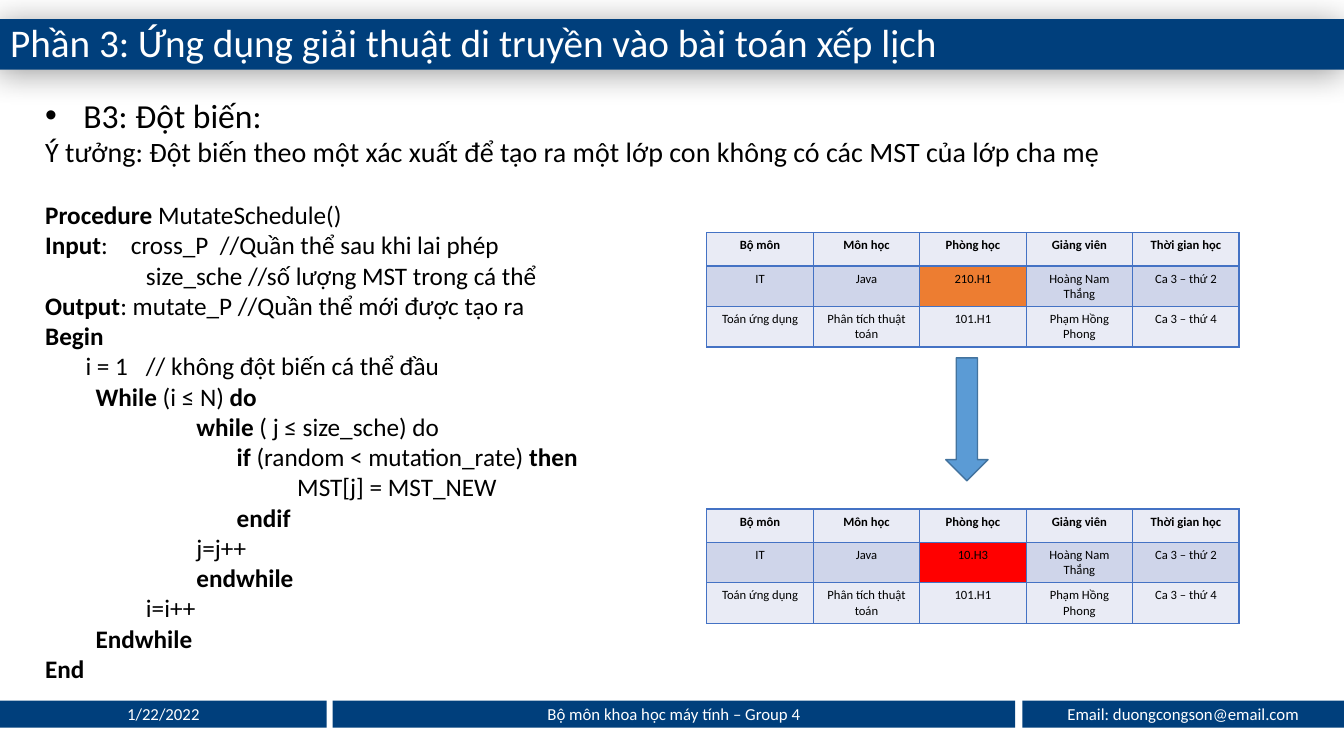
from lxml import etree
from pptx import Presentation
from pptx.dml.color import RGBColor
from pptx.enum.shapes import MSO_SHAPE
from pptx.enum.text import MSO_ANCHOR, MSO_AUTO_SIZE, PP_ALIGN
from pptx.oxml import parse_xml
from pptx.oxml.ns import qn
from pptx.util import Inches, Pt

RECT, DOWN_ARROW = MSO_SHAPE.RECTANGLE, MSO_SHAPE.DOWN_ARROW
MIDDLE, LEFT, CENTER = MSO_ANCHOR.MIDDLE, PP_ALIGN.LEFT, PP_ALIGN.CENTER
NO_FIT, GROW = MSO_AUTO_SIZE.NONE, MSO_AUTO_SIZE.SHAPE_TO_FIT_TEXT
A = "http://schemas.openxmlformats.org/drawingml/2006/main"

W, H = 13.33, 7.5
FONT = "Calibri"
NAVY, WHITE, BLACK = "003F7C", "FFFFFF", "000000"
PALE, BAND, BORDER = "E9EBF5", "CFD5EA", "4472C4"
ORANGE, RED = "ED7D31", "FF0000"
TITLE_ONLY = 5

FOOTER = [(0, 3.24, "1/22/2022"),
          (3.3, 6.77, "Bộ môn khoa học máy tính – Group 4"),
          (10.14, 3.19, "Email: duongcongson@email.com")]

# Left margin, hanging part of it, text with *bold* pieces
PSEUDOCODE = [
    (0, 0, "*Procedure* MutateSchedule()"),
    (0.85, 0.85, "*Input*:\tcross_P  //Quần thể sau khi lai phép"),
    (1, 0, "size_sche //số lượng MST trong cá thể"),
    (0, 0, "*Output*: mutate_P //Quần thể mới được tạo ra"),
    (0, 0, "*Begin*"),
    (1, 0.6, "i = 1\t// không đột biến cá thể đầu"),
    (0.5, 0, "*While* (i ≤ N) *do*"),
    (1.5, 0, "*while* ( j ≤ size_sche) do"),
    (1.9, 0, "*if* (random < mutation_rate) *then*"),
    (2.5, 0, "MST[j] = MST_NEW"),
    (1.9, 0, "*endif*"),
    (1.5, 0, "j=j++"),
    (1.5, 0, "*endwhile*"),
    (1, 0, "i=i++"),
    (0.5, 0, "*Endwhile*"),
    (0, 0, "*End*"),
]


def rgb(value):
    return RGBColor.from_string(value)


def inches(box):
    return [Inches(v) for v in box]


def style(r, size, color=BLACK, bold=False):
    r.font.name, r.font.size, r.font.bold = FONT, Pt(size), bold
    r.font.color.rgb = rgb(color)


def indent(p, left, hang):
    pPr = p._p.get_or_add_pPr()
    pPr.set("marL", str(Inches(left)))
    pPr.set("indent", str(-Inches(hang)))
    return pPr


def add_title(s, box, text):
    sp = s.shapes.title
    sp.left, sp.top, sp.width, sp.height = inches(box)
    sp.fill.solid()
    sp.fill.fore_color.rgb = rgb(NAVY)
    sp._element.spPr.append(parse_xml(
        f'<a:effectLst xmlns:a="{A}"><a:outerShdw blurRad="{Pt(24)}" dist="{Pt(3)}" '
        f'dir="8100000" rotWithShape="0"><a:srgbClr val="{BLACK}">'
        '<a:alpha val="40000"/></a:srgbClr></a:outerShdw></a:effectLst>'))
    tf = sp.text_frame
    tf.text = text
    tf.auto_size, tf.vertical_anchor = NO_FIT, MIDDLE
    p = tf.paragraphs[0]
    p.alignment, p.line_spacing = LEFT, 0.9
    style(p.runs[0], 28, WHITE)


def add_block(s, preset, box, fill, line=None):
    sp = s.shapes.add_shape(preset, *inches(box))
    sp.shadow.inherit = False
    sp.fill.solid()
    sp.fill.fore_color.rgb = rgb(fill)
    if line:
        sp.line.color.rgb = rgb(line)
        sp.line.width = Pt(1)
    else:
        sp.line.fill.background()
    return sp


def add_footer(s, top, height):
    for left, width, text in FOOTER:
        tf = add_block(s, RECT, (left, top, width, height), NAVY).text_frame
        tf.text = text
        tf.vertical_anchor = MIDDLE
        p = tf.paragraphs[0]
        p.alignment = CENTER
        style(p.runs[0], 12, WHITE)


def add_text_box(s, box):
    tf = s.shapes.add_textbox(*inches(box)).text_frame
    tf.word_wrap, tf.auto_size = True, GROW
    return tf


def add_idea(s, box):
    tf = add_text_box(s, box)
    tf.text = ("B3: Đột biến:\nÝ tưởng: Đột biến theo một xác xuất để tạo ra "
               "một lớp con không có các MST của lớp cha mẹ")
    heading, idea = tf.paragraphs
    style(heading.runs[0], 24)
    style(idea.runs[0], 20)
    pPr = indent(heading, 0.38, 0.38)
    etree.SubElement(pPr, qn("a:buFont")).set("typeface", "Arial")
    etree.SubElement(pPr, qn("a:buChar")).set("char", "•")


def add_pseudocode(s, box):
    tf = add_text_box(s, box)
    for i, (left, hang, text) in enumerate(PSEUDOCODE):
        p = tf.add_paragraph() if i else tf.paragraphs[0]
        indent(p, left, hang)
        for k, piece in enumerate(text.split("*")):
            if piece:
                r = p.add_run()
                r.text = piece
                style(r, 18, bold=k % 2 == 1)


def format_cell(cell, text, fill, bold):
    cell.text = text
    p = cell.text_frame.paragraphs[0]
    p.alignment = CENTER
    style(p.runs[0], 9, bold=bold)
    tcPr = cell._tc.get_or_add_tcPr()
    for side in ("lnL", "lnR", "lnT", "lnB"):
        tcPr.append(parse_xml(
            f'<a:{side} xmlns:a="{A}" w="{Pt(1)}"><a:solidFill>'
            f'<a:srgbClr val="{BORDER}"/></a:solidFill></a:{side}>'))
    cell.fill.solid()
    cell.fill.fore_color.rgb = rgb(fill)


def add_schedule(s, box, room, room_fill):
    rows = [
        ("Bộ môn", "Môn học", "Phòng học", "Giảng viên", "Thời gian học"),
        ("IT", "Java", room, "Hoàng Nam Thắng", "Ca 3 – thứ 2"),
        ("Toán ứng dụng", "Phân tích thuật toán", "101.H1", "Phạm Hồng Phong",
         "Ca 3 – thứ 4"),
    ]
    table = s.shapes.add_table(len(rows), len(rows[0]), *inches(box)).table
    for row, height in zip(table.rows, (0.33, 0.4, 0.4)):
        row.height = Inches(height)
    for i, texts in enumerate(rows):
        for j, text in enumerate(texts):
            fill = BAND if i == 1 else PALE
            if (i, j) == (1, 2):
                fill = room_fill
            format_cell(table.cell(i, j), text, fill, bold=i == 0)


def main():
    prs = Presentation()
    prs.slide_width, prs.slide_height = Inches(W), Inches(H)
    s = prs.slides.add_slide(prs.slide_layouts[TITLE_ONLY])
    add_title(s, (0, 0.19, W, 0.5),
              "Phần 3: Ứng dụng giải thuật di truyền vào bài toán xếp lịch")
    add_footer(s, 6.95, 0.27)
    add_idea(s, (0.35, 0.89, 12.63, 0.84))
    add_pseudocode(s, (0.35, 1.93, 6.66, 4.95))
    add_schedule(s, (7.01, 2.31, 5.28, 1.13), "210.H1", ORANGE)
    add_block(s, DOWN_ARROW, (9.38, 3.55, 0.42, 1.22), "5B9BD5", "43739E")
    add_schedule(s, (7.01, 5.05, 5.28, 1.13), "10.H3", RED)
    prs.save("out.pptx")


if __name__ == "__main__":
    main()
